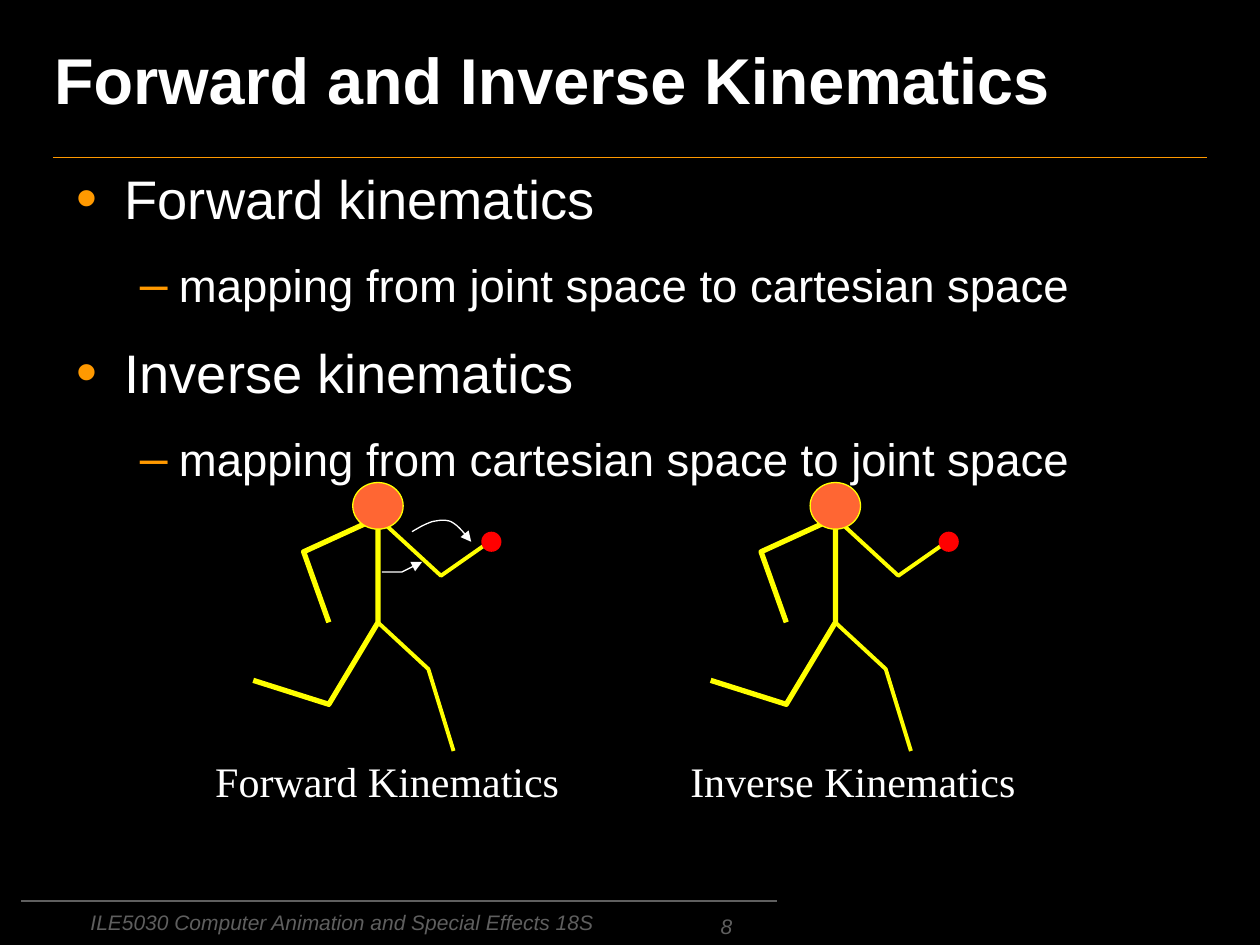
from lxml.etree import SubElement as Sub, Element
from pptx import Presentation
from pptx.dml.color import RGBColor as Rgb
from pptx.enum.shapes import MSO_CONNECTOR as Conn, MSO_SHAPE as Shape
from pptx.enum.text import MSO_ANCHOR as Anchor, MSO_AUTO_SIZE as Fit, PP_ALIGN as Align
from pptx.oxml.ns import qn
from pptx.util import Inches, Pt

WIDE, HIGH = 10, 7.5
WHITE, GOLD, GREY, LIMB = "FFFFFF", "FF9900", "5F5F5F", "FFFF00"
NOTE = dict(size=Pt(12), name="Arial", italic=True)
LABEL = dict(size=Pt(24), name="Times New Roman")
LEVELS = [(31, 0.38, 0.38, "•"), (26, 0.81, 0.31, "–")]
ITEMS = [(0, "Forward kinematics"),
         (1, "mapping from joint space to cartesian space"),
         (0, "Inverse kinematics"),
         (1, "mapping from cartesian space to joint space")]
LIMBS = [(3, [(0, 0), (-0.59, 0.27), (-0.39, 0.83)]),
         (3, [(0, 0), (0, 0.83), (-0.39, 1.48), (-0.99, 1.29)]),
         (2.25, [(0, 0.83), (0.4, 1.2), (0.6, 1.85)]),
         (2.25, [(0, 0), (0.5, 0.46), (0.9, 0.18)])]
NECK = 4.11


def paint(part, color):
    """Set a solid colour on a fill."""
    part.solid()
    part.fore_color.rgb = Rgb.from_string(color)


def style(item, form):
    """Set attributes from a dict of values."""
    for key, value in form.items():
        setattr(item, key, value)


def ink(item, color, form):
    """Set the colour and format of a paragraph's font."""
    style(item.font, form)
    paint(item.font.fill, color)


def place(shape, *box):
    """Move a shape to a box in inches."""
    style(shape, dict(zip(("left", "top", "width", "height"), map(Inches, box))))


def rule(shapes, left, right, y, color):
    """Draw a level line."""
    line = shapes.add_connector(Conn.STRAIGHT, *map(Inches, (left, y, right, y)))
    paint(line.line.fill, color)
    line.line.width = Pt(1)
    Sub(line._element.spPr, qn("a:effectLst"))


def path(shapes, points, color, width, arrow=False):
    """Draw an open path, with an arrowhead if asked."""
    first, *rest = [tuple(map(Inches, point)) for point in points]
    build = shapes.build_freeform(*first)
    build.add_line_segments(rest, close=False)
    shape = build.convert_to_shape()
    shape.shadow.inherit = False
    shape.fill.background()
    paint(shape.line.fill, color)
    shape.line.width = Pt(width)
    if arrow:
        Sub(shape.line._get_or_add_ln(), qn("a:tailEnd"), type="triangle")


def disc(shapes, box, color, edge=None):
    """Draw a filled ellipse."""
    shape = shapes.add_shape(Shape.OVAL, *map(Inches, box))
    shape.shadow.inherit = False
    paint(shape.fill, color)
    if edge:
        paint(shape.line.fill, edge)
        shape.line.width = Pt(0.75)
    else:
        shape.line.fill.background()


def text(shapes, words, box, color, form, frame, align=Align.LEFT):
    """Add a line of text."""
    body = shapes.add_textbox(*map(Inches, box)).text_frame
    style(body, frame)
    para = body.paragraphs[0]
    para.alignment = align
    para.text = words
    ink(para.runs[0], color, form)


def title(shape, words):
    """Fill the title and give it a purple shadow."""
    place(shape, 0.33, 0, 9.25, 1.25)
    frame = shape.text_frame
    style(frame, dict(vertical_anchor=Anchor.MIDDLE, auto_size=Fit.NONE))
    para = frame.paragraphs[0]
    para.text, para.alignment = words, Align.LEFT
    run = para.runs[0]
    ink(run, WHITE, dict(size=Pt(37), name="Arial", bold=True))
    glow = Element(qn("a:effectLst"))
    cast = Sub(glow, qn("a:outerShdw"), dist="35921", dir="2700000")
    Sub(cast, qn("a:srgbClr"), val="993399")
    run.font._element.find(qn("a:solidFill")).addnext(glow)


def bullet(para, level, first):
    """Set the indents, spacing and bullet of a list level."""
    size, left, hang, mark = LEVELS[level]
    style(para, dict(level=level, line_spacing=1.1, space_after=Pt(6),
                     space_before=Pt(0 if first else 6), alignment=Align.LEFT))
    prop = para._p.get_or_add_pPr()
    prop.set("marL", str(Inches(left)))
    prop.set("indent", str(-Inches(hang)))
    Sub(Sub(prop, qn("a:buClr")), qn("a:srgbClr"), val=GOLD)
    Sub(prop, qn("a:buSzPct"), val="110000")
    Sub(prop, qn("a:buFont"), typeface="Arial")
    Sub(prop, qn("a:buChar"), char=mark)
    ink(para.runs[0], WHITE, dict(size=Pt(size), name="Arial"))


def listing(shape, items):
    """Fill the body with a two-level list."""
    place(shape, 0.51, 1.15, 9, 5.13)
    frame = shape.text_frame
    style(frame, dict(auto_size=Fit.NONE, margin_top=Inches(0.11)))
    frame.text = "\n".join(words for _, words in items)
    for num, (para, (level, _)) in enumerate(zip(frame.paragraphs, items)):
        bullet(para, level, num == 0)


def runner(shapes, x):
    """Draw a stick figure with its neck at x."""
    group = shapes.add_group_shape().shapes
    for width, points in LIMBS:
        path(group, [(x + dx, NECK + dy) for dx, dy in points], LIMB, width)
    disc(group, (x - 0.2, NECK - 0.28, 0.4, 0.37), "FF6633", LIMB)
    disc(shapes, (x + 0.82, NECK + 0.11, 0.16, 0.16), "FF0000")


def curve(knots, steps=8):
    """Return points along a chain of Bezier curves."""
    points = [knots[0]]
    for i in range(0, len(knots) - 1, 3):
        for t in (n / steps for n in range(1, steps + 1)):
            u = 1 - t
            share = (u ** 3, 3 * u * u * t, 3 * u * t * t, t ** 3)
            points.append(tuple(sum(s * k[axis] for s, k in zip(share, knots[i:i + 4]))
                                for axis in (0, 1)))
    return points


def main():
    """Build the slide."""
    deck = Presentation()
    style(deck, dict(slide_width=Inches(WIDE), slide_height=Inches(HIGH)))
    slide = deck.slides.add_slide(deck.slide_layouts[1])
    shapes = slide.shapes
    paint(slide.background.fill, "000000")
    rule(shapes, 0.42, WIDE - 0.42, HIGH / 6, GOLD)
    rule(shapes, 0.17, 6.17, 7.15, GREY)
    wrap = dict(word_wrap=True)
    text(shapes, "ILE5030 Computer Animation and Special Effects 18S",
         (0.62, 7.17, 4.97, 0.33), GREY, NOTE, wrap)
    text(shapes, "8", (3.58, 7.23, 2.33, 0.27), GREY, NOTE,
         dict(wrap, vertical_anchor=Anchor.BOTTOM), Align.RIGHT)
    title(shapes.title, "Forward and Inverse Kinematics")
    listing(slide.placeholders[1], ITEMS)
    grow = dict(word_wrap=False, auto_size=Fit.SHAPE_TO_FIT_TEXT)
    for x, left, width, words in ((3, 1.61, 2.93, "Forward Kinematics"),
                                  (6.63, 5.38, 2.78, "Inverse Kinematics")):
        runner(shapes, x)
        text(shapes, words, (left, 5.95, width, 0.5), WHITE, LABEL, grow)
    path(shapes, [(3.03, 4.54), (3.19, 4.54), (3.35, 4.46)], WHITE, 0.75, True)
    swing = [(3.27, 4.22), (3.32, 4.19), (3.37, 4.16), (3.43, 4.14), (3.48, 4.13),
             (3.53, 4.12), (3.58, 4.14), (3.64, 4.17), (3.69, 4.24), (3.74, 4.3)]
    path(shapes, curve(swing), WHITE, 0.75, True)
    deck.save("out.pptx")


if __name__ == "__main__":
    main()
